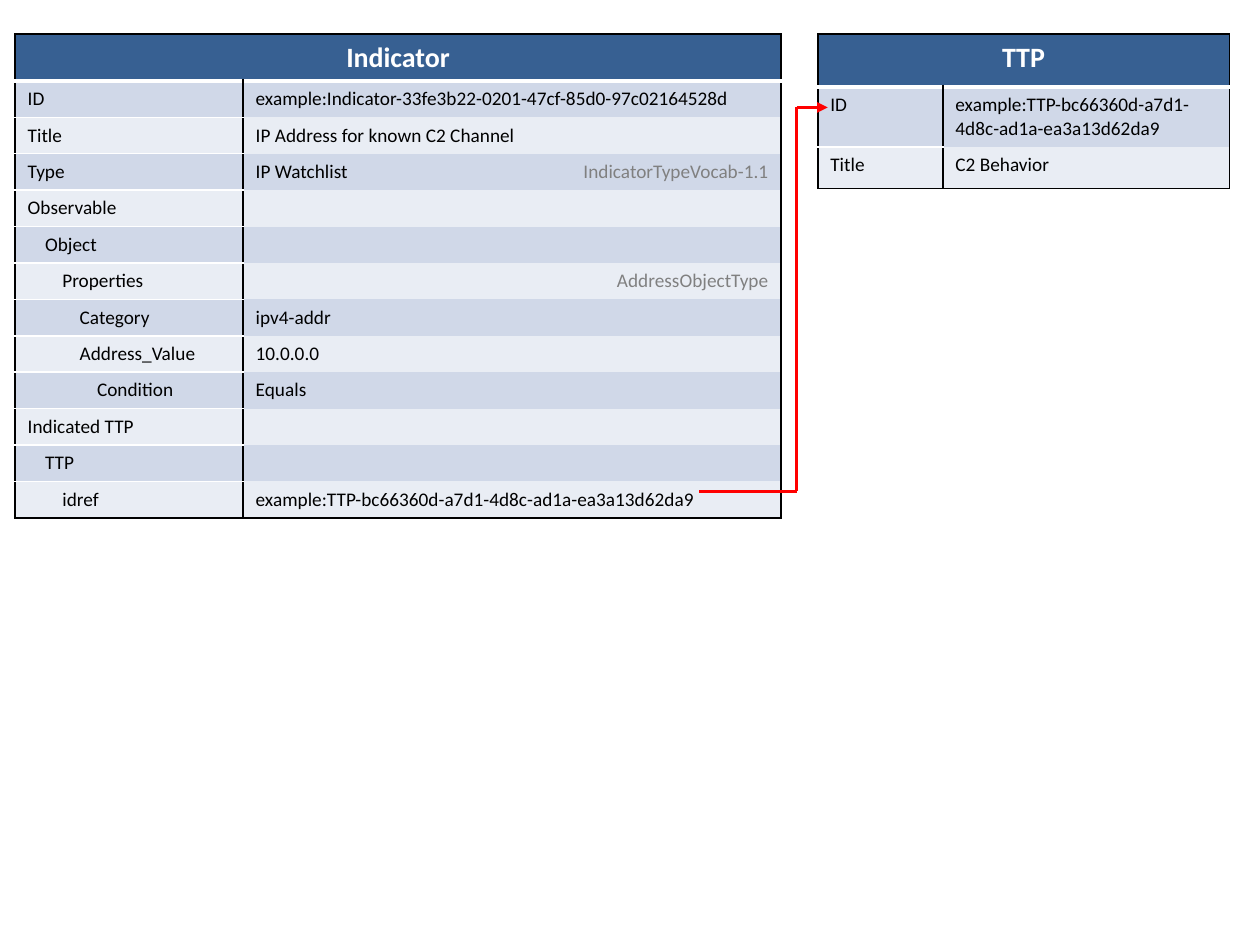
from dataclasses import dataclass
from itertools import pairwise

from lxml.etree import SubElement
from pptx import Presentation
from pptx.dml.color import RGBColor as RGB
from pptx.enum.shapes import MSO_CONNECTOR as CONN
from pptx.enum.text import PP_ALIGN as ALIGN
from pptx.oxml.ns import qn
from pptx.util import Pt


@dataclass(frozen=True)
class Theme:
    font: str = "Calibri"
    head_size: float = 16
    body_size: float = 11
    head_fill: str = "376092"
    bands: tuple[str, str] = ("D0D8E8", "E9EDF4")
    white: str = "FFFFFF"
    black: str = "000000"
    grey: str = "808080"
    red: str = "FF0000"
    margin: float = 7.2
    indent: float = 9.9


@dataclass(frozen=True)
class Field:
    name: str
    value: str = ""
    level: int = 0
    note: str = ""
    split: bool = False  # keep the value and note columns apart


@dataclass(frozen=True)
class Record:
    title: str
    left: float
    top: float
    cols: tuple[float, ...]
    rows: tuple[float, ...]
    fields: tuple[Field, ...]


T = Theme()
TTP_ID = "example:TTP-bc66360d-a7d1-4d8c-ad1a-ea3a13d62da9"

INDICATOR = Record("Indicator", 8.64, 19.44, (130.3, 140.4, 167), (26.6,) + (20.8,) * 12, (
    Field("ID", "example:Indicator-33fe3b22-0201-47cf-85d0-97c02164528d"),
    Field("Title", "IP Address for known C2 Channel"),
    Field("Type", "IP Watchlist", note="IndicatorTypeVocab-1.1", split=True),
    Field("Observable"),
    Field("Object", level=1),
    Field("Properties", level=2, note="AddressObjectType", split=True),
    Field("Category", "ipv4-addr", level=3, split=True),
    Field("Address_Value", "10.0.0.0", level=3, split=True),
    Field("Condition", "Equals", level=4, split=True),
    Field("Indicated TTP", split=True),
    Field("TTP", level=1, split=True),
    Field("idref", TTP_ID, level=2),
))
TTP = Record("TTP", 467.3, 19.44, (71.5, 163.7), (30.2, 34.3, 23.6), (
    Field("ID", TTP_ID),
    Field("Title", "C2 Behavior"),
))
# Corners of the reference from idref to the TTP's ID
REFERENCE = ((399.6, 280.8), (455.2, 280.8), (455.2, 61.4), (473, 61.4))


def write(cell, text: str, *, size: float = T.body_size, color: str = T.black,
          bold: bool = False, align=ALIGN.LEFT, level: int = 0) -> None:
    cell.margin_left = Pt(T.margin + T.indent * level)
    p = cell.text_frame.paragraphs[0]
    p.alignment = align
    if not text:
        SubElement(p._p, qn("a:endParaRPr"), sz=str(int(size * 100)))
        return
    r = p.add_run()
    r.text = text
    r.font.name, r.font.size, r.font.bold = T.font, Pt(size), bold
    r.font.color.rgb = RGB.from_string(color)


def paint(cell, fill: str, **edges: tuple[str, float] | None) -> None:
    """Set the four edges (L, R, T, B), then the fill."""
    tc_pr = cell._tc.get_or_add_tcPr()
    for side in "LRTB":
        edge = edges.get(side)
        ln = SubElement(tc_pr, qn(f"a:ln{side}"))
        if edge:
            ln.set("w", str(Pt(edge[1])))
            solid = SubElement(ln, qn("a:solidFill"))
            SubElement(solid, qn("a:srgbClr"), val=edge[0])
        else:
            SubElement(ln, qn("a:noFill"))
    cell.fill.solid()
    cell.fill.fore_color.rgb = RGB.from_string(fill)


def add_record(s, rec: Record) -> None:
    n_rows, n_cols = len(rec.rows), len(rec.cols)
    tbl = s.shapes.add_table(n_rows, n_cols, Pt(rec.left), Pt(rec.top),
                             Pt(sum(rec.cols)), Pt(sum(rec.rows))).table
    for col, width in zip(tbl.columns, rec.cols):
        col.width = Pt(width)
    for row, height in zip(tbl.rows, rec.rows):
        row.height = Pt(height)
    last = n_cols - 1
    outline, thin, thick = (T.black, 1), (T.white, 1), (T.white, 3)

    # Header
    for c in range(n_cols):
        paint(tbl.cell(0, c), T.head_fill, L=outline, R=outline, T=outline, B=thick)
    tbl.cell(0, 0).merge(tbl.cell(0, last))
    write(tbl.cell(0, 0), rec.title, size=T.head_size, color=T.white,
          bold=True, align=ALIGN.CENTER)

    # Fields
    for i, f in enumerate(rec.fields, 1):
        for c in range(n_cols):
            ends_row = c == last or (c > 0 and not f.split)
            top = thick if i == 1 else thin if c == 0 else None
            bottom = outline if i == n_rows - 1 else thin if c == 0 else None
            paint(tbl.cell(i, c), T.bands[(i - 1) % 2],
                  L=outline if c < 2 else None,
                  R=outline if c == 0 or ends_row else None, T=top, B=bottom)
        write(tbl.cell(i, 0), f.name, level=f.level)
        write(tbl.cell(i, 1), f.value)
        if f.split:
            write(tbl.cell(i, last), f.note, color=T.grey, align=ALIGN.RIGHT)
        elif last > 1:
            tbl.cell(i, 1).merge(tbl.cell(i, last))


def add_line(s, start: tuple[float, float], end: tuple[float, float], arrow: bool) -> None:
    cx = s.shapes.add_connector(CONN.STRAIGHT, *map(Pt, start + end))
    cx.line.width = Pt(2)
    cx.line.color.rgb = RGB.from_string(T.red)
    if arrow:
        SubElement(cx.line._get_or_add_ln(), qn("a:tailEnd"), type="triangle")
    SubElement(cx._element.spPr, qn("a:effectLst"))


prs = Presentation()
prs.slide_width, prs.slide_height = Pt(720), Pt(540)
s = prs.slides.add_slide(prs.slide_layouts[6])

# Tables
for record in (INDICATOR, TTP):
    add_record(s, record)

# Reference arrow
for a, b in pairwise(REFERENCE):
    add_line(s, a, b, arrow=b == REFERENCE[-1])

prs.save("out.pptx")
